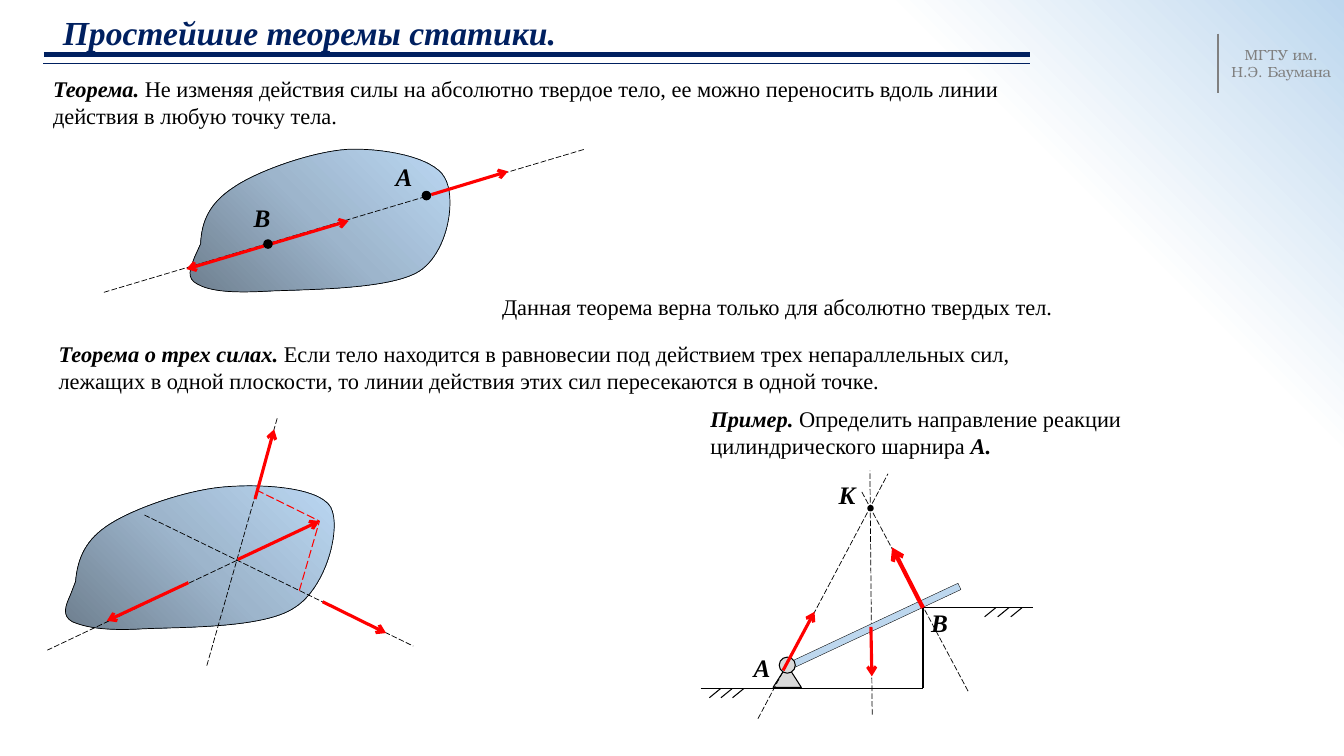
from dataclasses import dataclass

from lxml.etree import SubElement
from pptx import Presentation
from pptx.dml.color import RGBColor
from pptx.enum.dml import MSO_LINE
from pptx.enum.shapes import MSO_CONNECTOR, MSO_SHAPE as Preset
from pptx.enum.text import MSO_ANCHOR, MSO_AUTO_SIZE as AutoSize, PP_ALIGN as Align
from pptx.oxml import parse_xml
from pptx.oxml.ns import nsdecls, qn
from pptx.util import Pt

COLORS = {"black": "000000", "navy": "002060", "gray": "808080", "red": "FF0000",
          "beam": "BDD7EE", "hinge": "D9D9D9"}
SERIF = "Times New Roman"
BODY_STOPS = [(0, "6E7F8F"), (50, "9DB5CC"), (100, "BAD7F2")]
BODY_DIRECTION = '<a:lin ang="18900000" scaled="0"/>'
PAGE_STOPS = [(78, "FFFFFF"), (100, "BDD7EE")]
PAGE_DIRECTION = '<a:path path="circle"><a:fillToRect t="100000" r="100000"/></a:path>'
PointXY = tuple[float, float]
Box = tuple[float, float, float, float]


@dataclass
class Stroke:
    color: str
    width: float
    dashed: bool = False
    arrow: bool = False


@dataclass
class Segment:
    start: PointXY
    end: PointXY
    stroke: Stroke


@dataclass
class Figure:
    preset: Preset
    box: Box
    fill: str
    width: float
    rotation: float = 0


@dataclass
class Body:
    """Curves hold two control points and an end point each."""
    box: Box
    start: PointXY
    curves: list[tuple[PointXY, PointXY, PointXY]]


@dataclass
class TextBlock:
    """Runs are pairs of text and whether it is bold italic."""
    box: Box
    runs: list[tuple[str, bool]]
    size: float = 16
    color: str = "black"
    font: str = SERIF
    align: Align = Align.LEFT
    wrap: bool = True


ACTION = Stroke("black", 0.5, dashed=True)
FORCE = Stroke("red", 2.25, arrow=True)
REACTION = Stroke("red", 3, arrow=True)
PARALLELOGRAM = Stroke("red", 0.75, dashed=True)
GROUND = Stroke("black", 1)
HATCH = Stroke("black", 0.75)

BODIES = [
    Body((135.4, 106.6, 185.8, 102.2), (143.3, 174.2), [
        ((144, 157.7), (149.8, 144.7), (167.8, 133.2)),
        ((185, 121.7), (223.9, 108), (249.1, 106.6)),
        ((274.3, 105.8), (309.6, 112.3), (317.5, 126.7)),
        ((326.2, 141.1), (320.4, 180), (299.5, 193.7)),
        ((277.9, 207.4), (215.3, 206.6), (188.6, 208.1)),
        ((162.7, 209.5), (149, 207.4), (141.1, 203)),
        ((132.5, 198.7), (136.1, 191.5), (139, 183.6))]),
    Body((46.8, 347, 191.5, 103), (54, 415.4), [
        ((55.4, 398.9), (61.2, 385.2), (78.5, 374.4)),
        ((96.5, 362.9), (133.9, 349.9), (160.6, 347.8)),
        ((186.5, 345.6), (227.5, 347.8), (236.2, 362.2)),
        ((244.1, 376.6), (233.3, 419.8), (210.2, 434.2)),
        ((187.9, 449.3), (126.7, 447.8), (100.1, 449.3)),
        ((73.4, 450.7), (60.5, 447.8), (51.8, 444.2)),
        ((43.9, 439.9), (46.8, 432.7), (50.4, 424.8))]),
]
HEADER_RULES = [
    Segment((31.3, 38.9), (736, 38.9), Stroke("navy", 3.5)),
    Segment((31, 45.4), (735.8, 45.4), Stroke("navy", 0.75)),
    Segment((870.2, 24), (870.2, 66.8), Stroke("gray", 1.5)),
]
ACTION_LINES = [
    Segment((615.6, 351.4), (691.6, 493.9), ACTION),
    Segment((623, 510.5), (621.4, 336.2), ACTION),
    Segment((74.2, 208.8), (417.6, 106.6), ACTION),
    Segment((198, 298.8), (147.6, 475.9), ACTION),
    Segment((103.2, 367.9), (295.2, 461.5), ACTION),
    Segment((169.2, 400.3), (33.8, 464.4), ACTION),
]
GROUND_LINES = [
    Segment((500.4, 491.8), (659.5, 491.8), GROUND),
    Segment((659.3, 491.8), (659.3, 434), GROUND),
    Segment((658.8, 434), (738, 434), GROUND),
] + [
    Segment((left + i * step, top), (left + i * step - 8.1, top + 6.6), HATCH)
    for left, top, step in [(514.8, 491.8, 8.28), (711.4, 434, 9.36)]
    for i in range(3)
]
FORCES = [
    Segment((308.2, 139), (362.9, 122.4), FORCE),
    Segment((193.7, 174.2), (249.1, 157.7), FORCE),
    Segment((188.6, 175.7), (133.2, 192.2), FORCE),
    Segment((182.2, 356.4), (195.8, 306.7), FORCE),
    Segment((230.4, 429.8), (275.8, 452.2), FORCE),
    Segment((182.9, 349.9), (228.2, 372.2), PARALLELOGRAM),
    Segment((213.8, 421.9), (228.2, 372.2), PARALLELOGRAM),
    Segment((169.9, 399.6), (228.2, 372.2), FORCE),
    Segment((134.6, 416.2), (76.3, 443.5), FORCE),
    Segment((659.3, 434.2), (637.2, 391), REACTION),
    Segment((622.1, 447.8), (622.8, 483.1), FORCE),
    Segment((541.4, 513.4), (634.3, 338.4), ACTION),
    Segment((559.4, 478.8), (581.8, 437), FORCE),
]
BEAM = Figure(Preset.RECTANGLE, (553.7, 445.7, 138.2, 5), "beam", 0.25, 334.9)
HINGE = [
    Figure(Preset.ISOSCELES_TRIANGLE, (552.2, 475.2, 20.2, 15.8), "hinge", 0.75),
    Figure(Preset.OVAL, (556.6, 469.4, 11.5, 11.5), "hinge", 0.75),
]
POINTS = [Figure(Preset.OVAL, (left, top, size, size), "black", 1) for left, top, size in
          [(301.7, 136.8, 5.8), (188.5, 171.4, 5.8), (620, 361.2, 3.6)]]
TEXTS = [
    TextBlock((870.2, 29, 90, 32.4), [("МГТУ им. Н.Э. Баумана", False)], 10.5, "gray",
              "TeX Gyre Bonum", Align.CENTER),
    TextBlock((30.8, 50.4, 751.7, 46.1), [
        ("Теорема. ", True),
        ("Не изменяя действия силы на абсолютно твердое тело, ее можно переносить "
         "вдоль линии действия в любую точку тела.", False)]),
    TextBlock((351.5, 205.9, 431.3, 26.6),
              [("Данная теорема верна только для абсолютно твердых тел.", False)]),
    TextBlock((34.8, 239.3, 751.7, 46.1), [
        ("Теорема о трех силах. ", True),
        ("Если тело находится в равновесии под действием трех непараллельных сил, лежащих "
         "в одной плоскости, то линии действия этих сил пересекаются в одной точке.", False)]),
    TextBlock((500.4, 285.8, 324.7, 46.1), [
        ("Пример. ", True),
        ("Определить направление реакции цилиндрического шарнира", False),
        (" А.", True)]),
] + [
    TextBlock((left, top, 26.6, 28.8), [(letter, True)], 18, wrap=False)
    for letter, left, top in [("A", 275.6, 111.6), ("B", 174.2, 141.1), ("A", 531.2, 462.2),
                              ("B", 658.1, 430.6), ("K", 592, 338.7)]
]


def rgb(name: str) -> RGBColor:
    return RGBColor.from_string(COLORS[name])


def paint_gradient(fill, holder, stops: list[tuple[int, str]], direction: str) -> None:
    """Put a gradient into holder, the XML element that owns fill."""
    fill.background()
    stop_xml = "".join(f'<a:gs pos="{position * 1000}"><a:srgbClr val="{color}"/></a:gs>'
                       for position, color in stops)
    gradient = parse_xml(f'<a:gradFill {nsdecls("a")} rotWithShape="1">'
                         f'<a:gsLst>{stop_xml}</a:gsLst>{direction}</a:gradFill>')
    holder.replace(holder.find(qn("a:noFill")), gradient)


def draw_segment(shapes, segment: Segment) -> None:
    connector = shapes.add_connector(MSO_CONNECTOR.STRAIGHT,
                                     *map(Pt, segment.start + segment.end))
    stroke, line = segment.stroke, connector.line
    line.color.rgb = rgb(stroke.color)
    line.width = Pt(stroke.width)
    if stroke.dashed:
        line.dash_style = MSO_LINE.LONG_DASH
    properties = connector._element.spPr
    if stroke.arrow:
        SubElement(properties.find(qn("a:ln")), qn("a:tailEnd"), type="arrow")
    SubElement(properties, qn("a:effectLst"))


def draw_figure(shapes, figure: Figure) -> None:
    shape = shapes.add_shape(figure.preset, *map(Pt, figure.box))
    shape.shadow.inherit = False
    shape.rotation = figure.rotation
    shape.fill.solid()
    shape.fill.fore_color.rgb = rgb(figure.fill)
    shape.line.color.rgb = rgb("black")
    shape.line.width = Pt(figure.width)


def draw_body(shapes, body: Body) -> None:
    """Make a freeform of the body's box, then give it the curved outline."""
    left, top, width, height = map(Pt, body.box)
    builder = shapes.build_freeform(left, top)
    builder.add_line_segments([(left + width, top), (left + width, top + height)])
    shape = builder.convert_to_shape()
    outline = shape._element.find(".//" + qn("a:path"))
    for corner in list(outline):
        outline.remove(corner)
    steps = [("a:moveTo", [body.start])] + [("a:cubicBezTo", curve) for curve in body.curves]
    for tag, points in steps + [("a:lnTo", [body.start])]:
        step = SubElement(outline, qn(tag))
        for x, y in points:
            SubElement(step, qn("a:pt"), x=str(Pt(x) - left), y=str(Pt(y) - top))
    SubElement(outline, qn("a:close"))
    shape.shadow.inherit = False
    paint_gradient(shape.fill, shape._element.spPr, BODY_STOPS, BODY_DIRECTION)
    shape.line.color.rgb = rgb("black")
    shape.line.width = Pt(0.5)


def write_text(shape, block: TextBlock) -> None:
    shape.left, shape.top, shape.width, shape.height = map(Pt, block.box)
    frame = shape.text_frame
    frame.word_wrap = block.wrap
    paragraph = frame.paragraphs[0]
    paragraph.alignment = block.align
    for text, emphasis in block.runs:
        run = paragraph.add_run()
        run.text = text
        font = run.font
        font.name, font.size = block.font, Pt(block.size)
        font.bold = font.italic = emphasis
        font.color.rgb = rgb(block.color)


def main() -> None:
    presentation = Presentation()
    presentation.slide_width, presentation.slide_height = Pt(960), Pt(540)
    slide = presentation.slides.add_slide(presentation.slide_layouts[5])
    shapes = slide.shapes
    fill = slide.background.fill
    paint_gradient(fill, slide._element.find(".//" + qn("p:bgPr")), PAGE_STOPS, PAGE_DIRECTION)

    title = shapes.title
    write_text(title, TextBlock((37.7, 3.6, 381.6, 41.8),
                                [("Простейшие теоремы статики.", True)], 24, "navy"))
    title.text_frame.auto_size = AutoSize.NONE
    title.text_frame.vertical_anchor = MSO_ANCHOR.MIDDLE
    title.text_frame.paragraphs[0].line_spacing = 0.9

    for body in BODIES:
        draw_body(shapes, body)
    for segment in HEADER_RULES + ACTION_LINES:
        draw_segment(shapes, segment)
    draw_figure(shapes, BEAM)
    ground = shapes.add_group_shape()
    for segment in GROUND_LINES:
        draw_segment(ground.shapes, segment)
    hinge = shapes.add_group_shape()
    for figure in HINGE:
        draw_figure(hinge.shapes, figure)
    for segment in FORCES:
        draw_segment(shapes, segment)
    for point in POINTS:
        draw_figure(shapes, point)
    for block in TEXTS:
        text_box = shapes.add_textbox(*map(Pt, block.box))
        write_text(text_box, block)
        text_box.text_frame.auto_size = AutoSize.SHAPE_TO_FIT_TEXT
    presentation.save("out.pptx")


if __name__ == "__main__":
    main()
